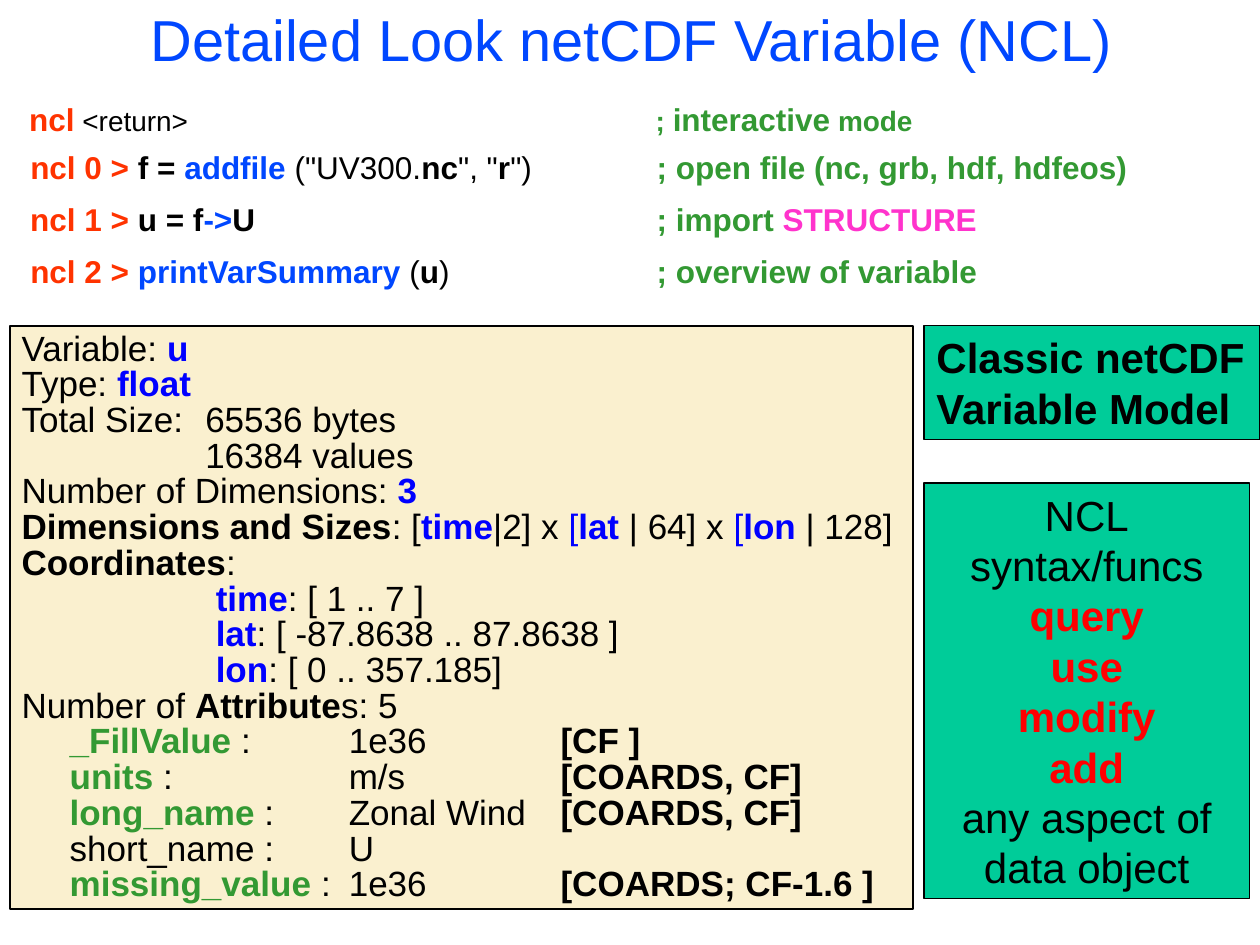
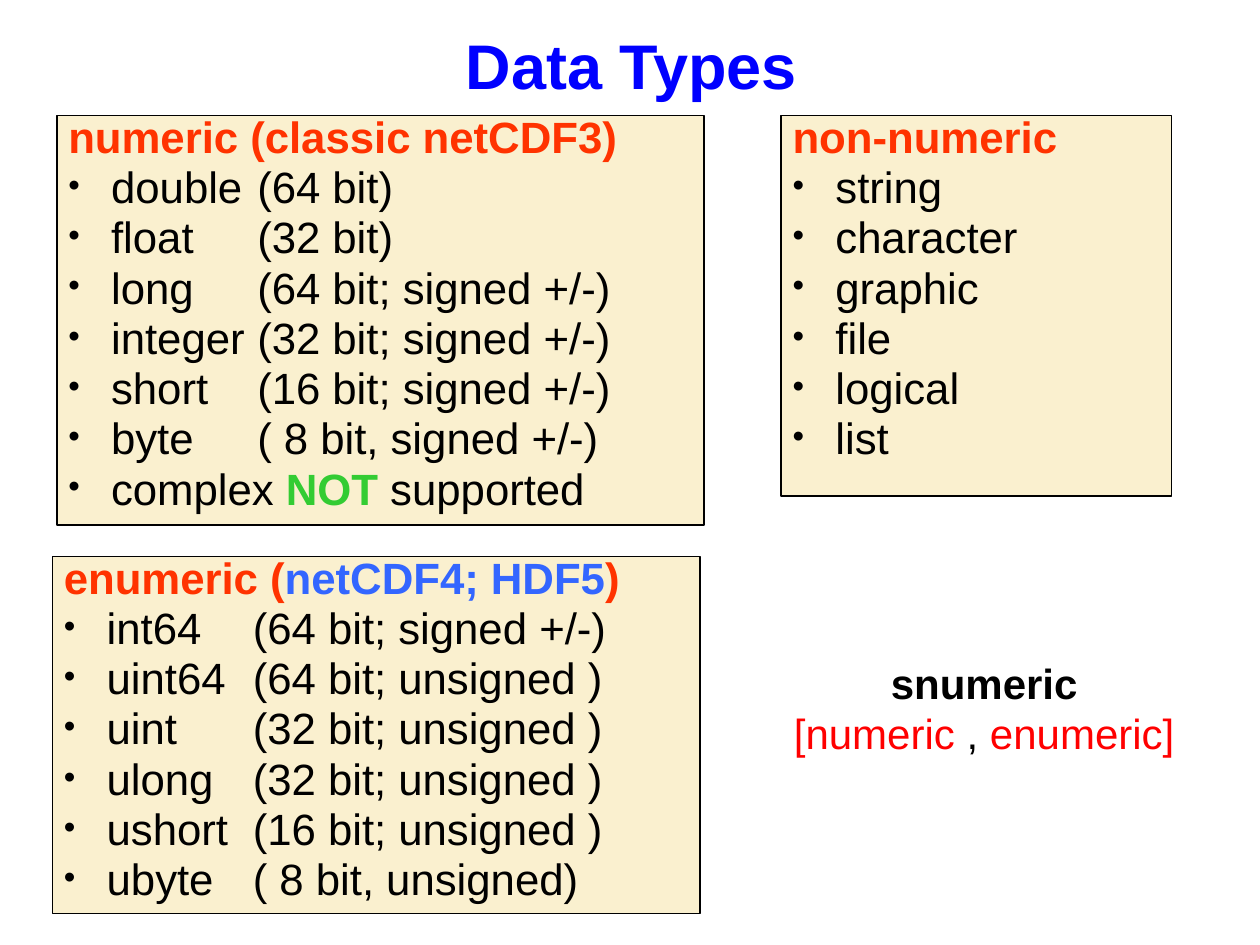
from dataclasses import dataclass
from typing import NamedTuple

from lxml import etree
from pptx import Presentation
from pptx.dml.color import RGBColor
from pptx.enum.shapes import MSO_SHAPE
from pptx.enum.text import MSO_ANCHOR, MSO_AUTO_SIZE, PP_ALIGN
from pptx.oxml.ns import qn
from pptx.util import Pt

RECTANGLE = MSO_SHAPE.RECTANGLE
TOP, MIDDLE = MSO_ANCHOR.TOP, MSO_ANCHOR.MIDDLE
LEFT, CENTER = PP_ALIGN.LEFT, PP_ALIGN.CENTER
NO_AUTOFIT = MSO_AUTO_SIZE.NONE

FONT = "Arial"
BLACK, BLUE, SKY, LIGHT_BLUE = "000000", "0000FF", "0047FF", "3366FF"
ORANGE, RED, PINK = "FF3300", "FF0000", "FF33CC"
GREEN, LIME = "339933", "33CC33"
CREAM, TEAL = "FAF0CF", "00CC99"

TITLE_ONLY_LAYOUT, TWO_CONTENT_LAYOUT = 5, 3
BULLET_INDENT = 24.5


class Box(NamedTuple):
    left: float
    top: float
    width: float
    height: float


class Span(NamedTuple):
    text: str
    color: str = BLACK
    bold: bool = False
    size: float | None = None


@dataclass
class Line:
    spans: list[Span]
    tabs: tuple[float, ...] = ()
    bullet: bool = False


@dataclass
class TextStyle:
    size: float
    spacing: float = 1.0
    before: float = 0
    align: int = LEFT
    anchor: int = TOP
    inset: float = 6.5
    wrap: bool = True


@dataclass
class TypeList:
    box: Box
    heading: list[Span]
    items: list[Line]


TITLE = TextStyle(33, 0.85, align=CENTER, anchor=MIDDLE)
BOLD_TITLE = TextStyle(36, 0.85, 9, CENTER, MIDDLE)
COMMAND = TextStyle(18, 0.85)
SUMMARY = TextStyle(20, 0.85)
PANEL = TextStyle(24, inset=7.2)
CENTERED_PANEL = TextStyle(24, align=CENTER, inset=7.2)
NOTE = TextStyle(24, align=CENTER, inset=7.2, wrap=False)
TYPES = TextStyle(25, 0.75, 6.2)


# Shared drawing helpers
def rgb(color: str) -> RGBColor:
    return RGBColor.from_string(color)


def place(shape, box: Box) -> None:
    shape.left, shape.top, shape.width, shape.height = map(Pt, box)


def paint(shape, fill: str, line_width: float) -> None:
    shape.fill.solid()
    shape.fill.fore_color.rgb = rgb(fill)
    shape.line.color.rgb = rgb(BLACK)
    shape.line.width = Pt(line_width)


def set_bullet_and_tabs(paragraph, line: Line) -> None:
    properties = paragraph._p.get_or_add_pPr()
    indent = Pt(BULLET_INDENT) if line.bullet else 0
    if line.bullet:
        properties.set("marL", str(indent))
        properties.set("indent", str(-indent))
        color = etree.SubElement(properties, qn("a:buClr"))
        etree.SubElement(color, qn("a:srgbClr"), val=BLACK)
        etree.SubElement(properties, qn("a:buSzPct"), val="75000")
        etree.SubElement(properties, qn("a:buFont"), typeface=FONT)
        etree.SubElement(properties, qn("a:buChar"), char="•")
    else:
        etree.SubElement(properties, qn("a:buNone"))
    if line.tabs:
        tab_list = etree.SubElement(properties, qn("a:tabLst"))
        for position in line.tabs:
            etree.SubElement(tab_list, qn("a:tab"), pos=str(Pt(position)), algn="l")


def write(shape, lines: list[Line], style: TextStyle) -> None:
    frame = shape.text_frame
    frame.auto_size = NO_AUTOFIT
    frame.word_wrap = style.wrap
    frame.vertical_anchor = style.anchor
    frame.margin_left = frame.margin_right = Pt(style.inset)
    frame.margin_top = frame.margin_bottom = Pt(3.6)
    for index, line in enumerate(lines):
        paragraph = frame.add_paragraph() if index else frame.paragraphs[0]
        paragraph.alignment = style.align
        paragraph.line_spacing = style.spacing
        paragraph.space_before = Pt(style.before)
        set_bullet_and_tabs(paragraph, line)
        for span in line.spans:
            run = paragraph.add_run()
            run.text = span.text
            run.font.name = FONT
            run.font.size = Pt(span.size or style.size)
            run.font.bold = span.bold
            run.font.color.rgb = rgb(span.color)


def add_panel(slide, box: Box, fill: str, line_width: float,
              lines: list[Line], style: TextStyle) -> None:
    shape = slide.shapes.add_shape(RECTANGLE, *map(Pt, box))
    shape.shadow.inherit = False
    paint(shape, fill, line_width)
    write(shape, lines, style)


def add_text(slide, box: Box, lines: list[Line], style: TextStyle) -> None:
    write(slide.shapes.add_textbox(*map(Pt, box)), lines, style)


def set_title(slide, box: Box, span: Span, style: TextStyle) -> None:
    place(slide.shapes.title, box)
    write(slide.shapes.title, [Line([span])], style)


# Slide 1: variable summary
COMMENT_TAB = (358,)
COMMANDS = [
    (Box(10.2, 57, 669, 25), [
        Span("ncl", ORANGE, True), Span(" <return>\t", size=16),
        Span("; ", GREEN, True, 16), Span("interactive", GREEN, True),
        Span(" mode", GREEN, True, 16)]),
    (Box(10.8, 84.2, 661, 25), [
        Span("ncl 0 > ", ORANGE, True), Span("f = ", bold=True),
        Span("addfile ", SKY, True), Span('("UV300.'), Span("nc", bold=True),
        Span('", "'), Span("r", bold=True), Span('")\t'),
        Span("; open file (nc, grb, hdf, hdfeos)", GREEN, True)]),
    (Box(10.8, 113.8, 604, 25), [
        Span("ncl 1 > ", ORANGE, True), Span("u = f", bold=True),
        Span("->", SKY, True), Span("U\t", bold=True),
        Span("; import ", GREEN, True), Span("STRUCTURE", PINK, True)]),
    (Box(10.8, 144, 577, 25), [
        Span("ncl 2 > ", ORANGE, True), Span("printVarSummary ", SKY, True),
        Span("("), Span("u", bold=True), Span(")\t"),
        Span("; overview of variable", GREEN, True)]),
]

SIZE_TAB, COORDINATE_TAB, ATTRIBUTE_TABS = (105,), (111,), (27.5, 187, 308)
COORDINATES = [("time", ": [ 1 .. 7 ]"), ("lat", ": [ -87.8638 .. 87.8638 ]"),
               ("lon", ": [ 0 .. 357.185]")]
ATTRIBUTES = [
    ("_FillValue", "1e36", "[CF ]"),
    ("units", "m/s", "[COARDS, CF]"),
    ("long_name", "Zonal Wind", "[COARDS, CF]"),
    ("short_name", "U", ""),
    ("missing_value", "1e36", "[COARDS; CF-1.6 ]"),
]


def attribute_line(name: str, value: str, convention: str) -> Line:
    if not convention:
        return Line([Span(f"\t{name} :\t{value}")], ATTRIBUTE_TABS)
    return Line([Span(f"\t{name}", GREEN, True), Span(f" :\t{value}\t"),
                 Span(convention, bold=True)], ATTRIBUTE_TABS)


def summary_lines() -> list[Line]:
    return [
        Line([Span("Variable: "), Span("u", BLUE, True)]),
        Line([Span("Type: "), Span("float", BLUE, True)]),
        Line([Span("Total Size:\t65536 bytes")], SIZE_TAB),
        Line([Span("\t16384 values")], SIZE_TAB),
        Line([Span("Number of Dimensions: "), Span("3", BLUE, True)]),
        Line([Span("Dimensions and Sizes", bold=True), Span(": ["),
              Span("time", BLUE, True), Span("|2] x "), Span("[", BLUE),
              Span("lat ", BLUE, True), Span("| 64] x "), Span("[", BLUE),
              Span("lon ", BLUE, True), Span("| 128]")]),
        Line([Span("Coordinates", bold=True), Span(":")]),
        *[Line([Span(f"\t{name}", BLUE, True), Span(extent)], COORDINATE_TAB)
          for name, extent in COORDINATES],
        Line([Span("Number of "), Span("Attribute", bold=True), Span("s: 5")]),
        *[attribute_line(*attribute) for attribute in ATTRIBUTES],
    ]


def build_variable_slide(presentation) -> None:
    slide = presentation.slides.add_slide(presentation.slide_layouts[TITLE_ONLY_LAYOUT])
    set_title(slide, Box(53.3, 6.5, 615, 37.5),
              Span("Detailed Look netCDF Variable (NCL)", SKY), TITLE)
    for box, spans in COMMANDS:
        add_text(slide, box, [Line(spans, COMMENT_TAB)], COMMAND)
    add_panel(slide, Box(5.8, 186.5, 516, 333), CREAM, 1, summary_lines(), SUMMARY)
    model = [Line([Span(text, bold=True)]) for text in ("Classic netCDF", "Variable Model")]
    add_panel(slide, Box(528, 186, 192, 65), TEAL, 0.75, model, PANEL)
    actions = [Line([Span(text, RED, True)]) for text in ("query", "use", "modify", "add")]
    syntax = [Line([Span("NCL")]), Line([Span("syntax/funcs")]), *actions,
              Line([Span("any aspect of")]), Line([Span("data object")])]
    add_panel(slide, Box(528, 276, 186, 237.5), TEAL, 0.75, syntax, CENTERED_PANEL)


# Slide 2: data types
def type_items(*texts: str) -> list[Line]:
    return [Line([Span(text)], (108,), True) for text in texts]


NUMERIC = TypeList(
    Box(32.5, 66, 370, 234), [Span("numeric (classic netCDF3)", ORANGE, True)],
    [*type_items("double\t(64 bit)", "float\t(32 bit)", "long\t(64 bit; signed +/-)",
                 "integer\t(32 bit; signed +/-)", "short\t(16 bit; signed +/-)",
                 "byte\t( 8 bit, signed +/-)"),
     Line([Span("complex "), Span("NOT", LIME, True), Span(" supported")], bullet=True)])
NON_NUMERIC = TypeList(
    Box(446.4, 66, 223, 217.5), [Span("non-numeric", ORANGE, True)],
    type_items("string", "character", "graphic", "file", "logical", "list"))
ENUMERIC = TypeList(
    Box(30, 318, 370, 204),
    [Span("enumeric (", ORANGE, True), Span("netCDF4; HDF5", LIGHT_BLUE, True),
     Span(")", ORANGE, True)],
    type_items("int64\t(64 bit; signed +/-)", "uint64\t(64 bit; unsigned )",
               "uint\t(32 bit; unsigned )", "ulong\t(32 bit; unsigned )",
               "ushort\t(16 bit; unsigned )", "ubyte\t( 8 bit, unsigned)"))


def build_types_slide(presentation) -> None:
    slide = presentation.slides.add_slide(presentation.slide_layouts[TWO_CONTENT_LAYOUT])
    set_title(slide, Box(53.3, 16.5, 615, 47.5), Span("Data Types", BLUE, True), BOLD_TITLE)
    for index, types in enumerate((NUMERIC, NON_NUMERIC), start=1):
        body = slide.placeholders[index]
        place(body, types.box)
        paint(body, CREAM, 1)
        lines = [Line(types.heading), *types.items]
        write(body, lines, TYPES)
        for paragraph in body.text_frame.paragraphs[:1]:
            paragraph._p.pPr.set("marL", "0")
            paragraph._p.pPr.set("indent", "0")
    add_panel(slide, ENUMERIC.box, CREAM, 1,
              [Line(ENUMERIC.heading), *ENUMERIC.items], TYPES)
    add_text(slide, Box(446.4, 372, 232, 65), [
        Line([Span("snumeric", bold=True)]),
        Line([Span("[numeric", RED), Span(" , "), Span("enumeric]", RED)])], NOTE)


def main() -> None:
    presentation = Presentation()
    presentation.slide_width, presentation.slide_height = Pt(720), Pt(540)
    build_variable_slide(presentation)
    build_types_slide(presentation)
    presentation.save("out.pptx")


if __name__ == "__main__":
    main()
